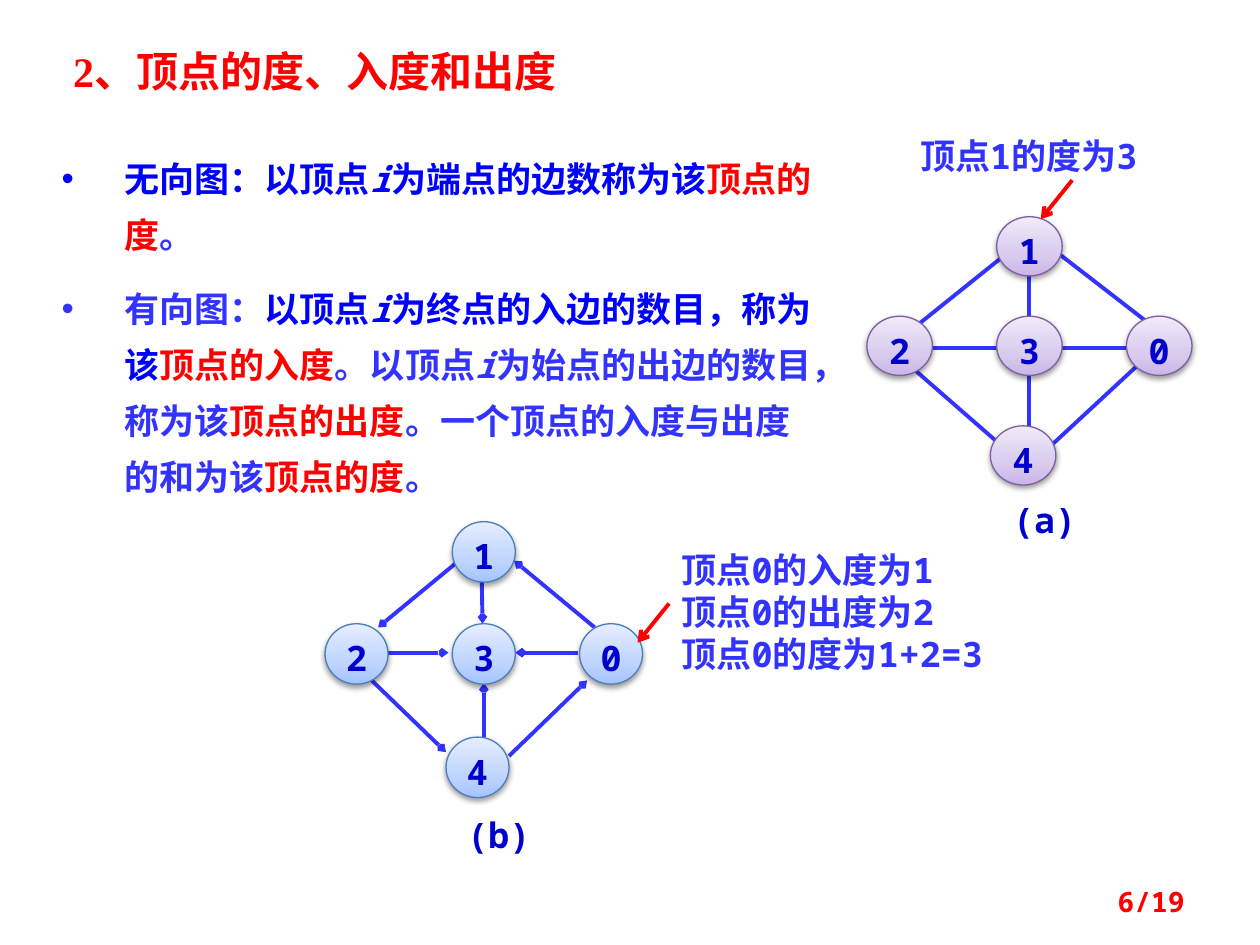
from pptx import Presentation
from pptx.dml.color import RGBColor as RGB
from pptx.enum.shapes import MSO_CONNECTOR as LINK, MSO_SHAPE as SHAPE
from pptx.enum.text import MSO_ANCHOR as ANCHOR, PP_ALIGN as ALIGN
from pptx.oxml import parse_xml
from pptx.oxml.ns import nsdecls, qn
from pptx.oxml.xmlchemy import OxmlElement as Elem
from pptx.util import Emu, Pt

SCALE = 9144  # EMU in one px, 100 px to the inch
RED = RGB(0xFF, 0x00, 0x00)
BLUE = RGB(0x00, 0x00, 0xFF)
IRIS = RGB(0x33, 0x33, 0xFF)
NAVY = RGB(0x00, 0x00, 0xCC)
PLUM = RGB(0x7D, 0x60, 0xA0)
STEEL = RGB(0x4B, 0x7E, 0xBC)
LILAC = (RGB(0xC9, 0xB5, 0xE8), RGB(0xD8, 0xCB, 0xEE), RGB(0xF0, 0xEA, 0xF9))
SKY = (RGB(0xA4, 0xC4, 0xFF), RGB(0xBF, 0xD4, 0xFF), RGB(0xE6, 0xEE, 0xFF))
STOPS = (0, 35000, 100000)
MONO = "Noto Sans Mono"
SERIF = "Times New Roman"


def px(*nums):
    return [Emu(n * SCALE) for n in nums]


class Deck:
    """Holds the style and the current slide."""

    def __init__(self, wide, high):
        self.prs = Presentation()
        self.prs.slide_width, self.prs.slide_height = px(wide, high)
        self.slide = self.prs.slides.add_slide(self.prs.slide_layouts[5])
        self.shapes = self.slide.shapes

    def run(self, para, text, color, slant=False, size=20, face=MONO):
        run = para.add_run()
        run.text = text
        font = run.font
        font.name, font.size, font.bold = face, Pt(size), True
        font.italic = slant
        font.color.rgb = color

    def frame(self, shape, pads=(10, 5, 10, 5), anchor=ANCHOR.TOP):
        frame = shape.text_frame
        frame.word_wrap, frame.vertical_anchor = True, anchor
        (frame.margin_left, frame.margin_top,
         frame.margin_right, frame.margin_bottom) = px(*pads)
        return frame

    def title(self, box, text):
        shape = self.shapes.title
        shape.left, shape.top, shape.width, shape.height = px(*box)
        para = self.frame(shape, (27, 5, 10, 5)).paragraphs[0]
        para.alignment = ALIGN.LEFT
        self.run(para, text, RED, size=24, face=SERIF)

    def text(self, box, paras, align=ALIGN.LEFT, size=20, **opts):
        """Each paragraph is a list of (text, colour[, italic]) runs."""
        frame = self.frame(self.shapes.add_textbox(*px(*box)), **opts)
        for i, runs in enumerate(paras):
            para = frame.add_paragraph() if i else frame.paragraphs[0]
            para.alignment = align
            for part in runs:
                self.run(para, *part, size=size)
        return frame

    def bullets(self, box, paras):
        frame = self.text(box, paras)
        for i, para in enumerate(frame.paragraphs):
            props = para._p.get_or_add_pPr()
            indent = px(50)[0]
            props.set("marL", str(indent))
            props.set("indent", str(-indent))
            for tag, key, val in (("a:buFont", "typeface", "Arial"),
                                  ("a:buChar", "char", "•")):
                mark = Elem(tag)
                mark.set(key, val)
                props.append(mark)
            para.line_spacing = Pt(32)
            para.space_before = Pt(10 if i else 0)

    def line(self, ends, color=IRIS, head=None):
        """head is the arrowhead size, sm or med; None draws a plain line."""
        link = self.shapes.add_connector(LINK.STRAIGHT, *px(*ends))
        link.line.color.rgb, link.line.width = color, Pt(2.25)
        if head:
            tail = Elem("a:tailEnd")
            for key, val in (("type", "arrow"), ("w", head), ("len", head)):
                tail.set(key, val)
            link.line._get_or_add_ln().append(tail)
        link._element.spPr.append(Elem("a:effectLst"))

    def node(self, box, text, tints, edge):
        shape = self.shapes.add_shape(SHAPE.OVAL, *px(*box))
        shape.fill.gradient()
        shape.fill.gradient_angle = 90
        shape.line.color.rgb, shape.line.width = edge, Pt(0.75)
        shape.shadow.inherit = False
        props = shape._element.spPr
        stops = props.find(qn("a:gradFill")).find(qn("a:gsLst"))
        for old in list(stops):
            stops.remove(old)
        for pos, tint in zip(STOPS, tints):
            stops.append(parse_xml(
                f'<a:gs {nsdecls("a")} pos="{pos}"><a:srgbClr val="{tint}"/></a:gs>'))
        props.find(qn("a:effectLst")).append(parse_xml(
            f'<a:outerShdw {nsdecls("a")} blurRad="40000" dist="20000" dir="5400000" '
            'rotWithShape="0"><a:srgbClr val="000000"><a:alpha val="38000"/>'
            '</a:srgbClr></a:outerShdw>'))
        para = self.frame(shape, (0, 12, 0, 0)).paragraphs[0]
        para.alignment, para.line_spacing = ALIGN.CENTER, 0.72
        self.run(para, text, NAVY)

    def graph(self, mid, size, step, edges, tints, edge, head=None):
        """Draws the edges, then nodes around mid; step is side, up, down."""
        for ends in edges:
            self.line(ends, head=head)
        side, up, down = step
        spots = {"1": (0, -up), "3": (0, 0), "0": (side, 0),
                 "2": (-side, 0), "4": (-5, down)}
        for name, (dx, dy) in spots.items():
            self.node((mid[0] + dx, mid[1] + dy, *size), name, tints, edge)

    def label(self, left, top, text):
        self.text((left, top, 60, 36), [[(text, NAVY)]], pads=(0, 0, 0, 0))


def main():
    deck = Deck(1000, 750)
    deck.title((31, 31, 443, 50), "2、顶点的度、入度和出度")

    plain = [(735, 276, 898, 276), (723, 291, 794, 353), (836, 352, 905, 288),
             (836, 198, 911, 256), (798, 202, 717, 267), (817, 218, 817, 359)]
    deck.graph((791, 251), (52, 47), (103, 79, 87), plain, LILAC, PLUM)
    deck.label(804, 396, "(a)")

    arrows = [(382, 441, 383, 495), (384, 590, 384, 542), (459, 518, 409, 518),
              (306, 518, 356, 518), (295, 540, 354, 597), (404, 600, 466, 540),
              (472, 498, 408, 445), (363, 446, 300, 498)]
    deck.graph((359, 495), (50, 48), (101, 81, 90), arrows, SKY, STEEL, "sm")
    deck.label(371, 646, "(b)")

    deck.bullets((39, 109, 617, 298), [
        [("无向图：以顶点", BLUE), ("i", BLUE, True),
         ("为端点的边数称为该", BLUE), ("顶点的度", RED), ("。", IRIS)],
        [("有向图：", IRIS), ("以顶点", BLUE), ("i", BLUE, True),
         ("为终点的入边的数目，称为该", BLUE), ("顶点的入度", RED),
         ("。以顶点", IRIS), ("i", IRIS, True),
         ("为始点的出边的数目，称为该", IRIS), ("顶点的出度", RED),
         ("。一个顶点的入度与出度的和为该", IRIS), ("顶点的度", RED),
         ("。", IRIS)],
    ])

    deck.text((719, 102, 195, 44), [[("顶点1的度为3", IRIS)]], ALIGN.CENTER)
    deck.line((851, 143, 826, 174), RED, "med")
    notes = ("顶点0的入度为1", "顶点0的出度为2", "顶点0的度为1+2=3")
    deck.text((531, 430, 273, 111), [[(note, IRIS)] for note in notes])
    deck.line((531, 479, 506, 510), RED, "med")
    deck.text((717, 695, 233, 40), [[("6/19", RED)]], ALIGN.RIGHT, 16,
              anchor=ANCHOR.MIDDLE)
    deck.prs.save("out.pptx")


if __name__ == "__main__":
    main()
